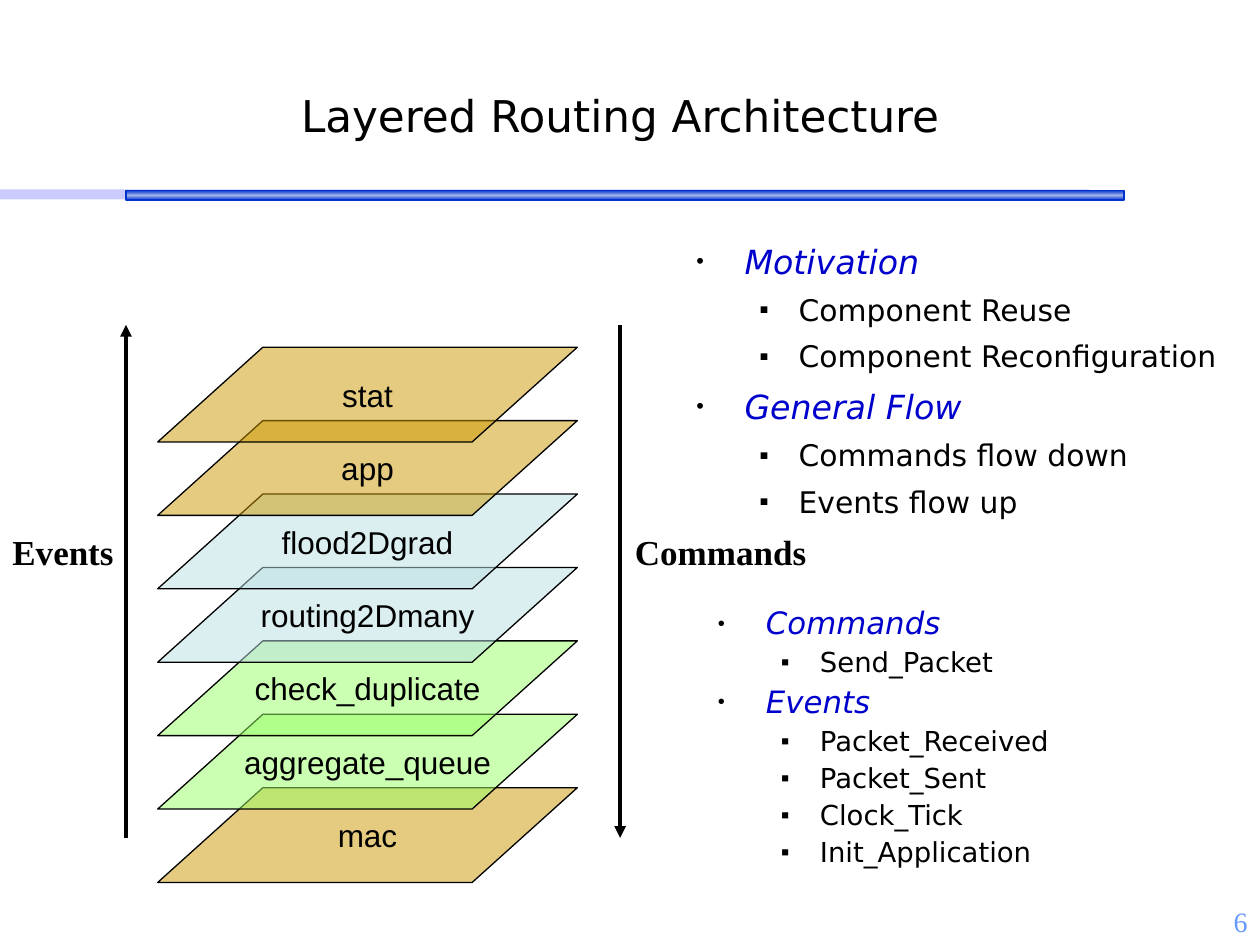
import copy

import lxml.etree
import pptx
import pptx.dml.color
import pptx.enum.shapes
import pptx.enum.text
import pptx.oxml.ns
import pptx.util

Cm, Pt = pptx.util.Cm, pptx.util.Pt
qn = pptx.oxml.ns.qn
SHAPE = pptx.enum.shapes.MSO_SHAPE
ALIGN = pptx.enum.text.PP_ALIGN
ANCHOR = pptx.enum.text.MSO_ANCHOR
FIT = pptx.enum.text.MSO_AUTO_SIZE.SHAPE_TO_FIT_TEXT


def rgb(value):
    return pptx.dml.color.RGBColor.from_string(value)


def sub(parent, tag, **attrs):
    return lxml.etree.SubElement(parent, qn(tag), attrs)


class Deck:
    BODY, SERIF, LABEL = "DejaVu Sans", "Times New Roman", "Arial"
    BLACK, ACCENT = "000000", "0000CC"
    # level: (left margin cm, hanging cm, bullet, bullet size, space before)
    LEVELS = [(0.97, 0.97, "•", "65000", 4.8), (2.06, 0.79, "▪", "90000", 4.2)]

    def __init__(self):
        self.prs = pptx.Presentation()
        self.prs.slide_width, self.prs.slide_height = Cm(25.4), Cm(19.05)
        self.s = self.prs.slides.add_slide(self.prs.slide_layouts[6])

    def font(self, p, size, name, color=BLACK, bold=False, italic=False):
        for r in p.runs:
            f = r.font
            f.size, f.name, f.bold, f.italic = Pt(size), name, bold, italic
            f.color.rgb = rgb(color)

    def shape(self, kind, box, fill, line=None, width=0.75, alpha=None):
        sp = self.s.shapes.add_shape(kind, *map(Cm, box))
        sp.shadow.inherit = False
        sp.fill.solid()
        sp.fill.fore_color.rgb = rgb(fill)
        if alpha:
            clr = sp._element.spPr.find(qn("a:solidFill"))[0]
            sub(clr, "a:alpha", val=str(alpha * 1000))
        if line:
            sp.line.color.rgb = rgb(line)
            sp.line.width = Pt(width)
        else:
            sp.line.fill.background()
        return sp

    def gradient_bar(self, box, edge, middle):
        sp = self.shape(SHAPE.RECTANGLE, box, edge, edge, 1)
        sp.fill.gradient()
        sp.fill.gradient_angle = 90
        stops = sp._element.spPr.find(qn("a:gradFill")).find(qn("a:gsLst"))
        stops.insert(1, copy.deepcopy(stops[0]))
        for stop, pos, color in zip(sp.fill.gradient_stops, (0, 0.5, 1), (edge, middle, edge)):
            stop.position = pos
            stop.color.rgb = rgb(color)

    def layer(self, box, text, fill):
        sp = self.shape(SHAPE.PARALLELOGRAM, box, fill, self.BLACK, alpha=50)
        sp.adjustments[0] = 1.11
        tf = sp.text_frame
        tf.text = text
        tf.word_wrap = False
        tf.vertical_anchor = ANCHOR.MIDDLE
        tf.paragraphs[0].alignment = ALIGN.CENTER
        self.font(tf.paragraphs[0], 18, self.LABEL)

    def text(self, box, text, size, name, align=ALIGN.LEFT, wrap=True,
             anchor=ANCHOR.TOP, **style):
        tf = self.s.shapes.add_textbox(*map(Cm, box)).text_frame
        tf.text = text
        tf.word_wrap = wrap
        tf.auto_size = FIT
        tf.vertical_anchor = anchor
        tf.paragraphs[0].alignment = align
        self.font(tf.paragraphs[0], size, name, **style)

    def bullets(self, box, items, sizes, spacing):
        tf = self.s.shapes.add_textbox(*map(Cm, box)).text_frame
        tf.word_wrap = True
        tf.text = "\n".join(text for _, text in items)
        for i, (p, (level, _)) in enumerate(zip(tf.paragraphs, items)):
            margin, hang, char, scale, before = self.LEVELS[level]
            pPr = p._p.get_or_add_pPr()
            pPr.set("marL", str(Cm(margin)))
            pPr.set("indent", str(-Cm(hang)))
            sub(sub(pPr, "a:buClr"), "a:srgbClr", val=self.BLACK)
            sub(pPr, "a:buSzPct", val=scale)
            sub(pPr, "a:buFont", typeface=self.LABEL)
            sub(pPr, "a:buChar", char=char)
            p.level = level
            p.line_spacing = spacing
            p.space_before = Pt(before if i else 0)
            self.font(p, sizes[level], self.BODY,
                      self.BLACK if level else self.ACCENT, italic=not level)

    def arrow(self, x, y1, y2):
        c = self.s.shapes.add_connector(
            pptx.enum.shapes.MSO_CONNECTOR.STRAIGHT, Cm(x), Cm(y1), Cm(x), Cm(y2))
        c.line.color.rgb = rgb(self.BLACK)
        c.line.width = Pt(2.25)
        sub(c.line._get_or_add_ln(), "a:tailEnd", type="triangle")
        sub(c._element.spPr, "a:effectLst")


def main():
    d = Deck()

    # Title, rule and slide number
    d.shape(SHAPE.RECTANGLE, (0, 3.82, 21.95, 0.2), "9999FF", alpha=50)
    d.text((24.13, 18.11, 1.27, 0.94), "6", 16, d.SERIF, ALIGN.RIGHT, color="6699FF")
    d.gradient_bar((2.54, 3.84, 20.12, 0.2), "0033CC", "A0B3EC")
    d.text((1.07, 1.65, 22.86, 1.32), "Layered Routing Architecture", 25, d.BODY,
           ALIGN.CENTER, anchor=ANCHOR.BOTTOM)

    # Motivation and flow
    d.bullets((13.79, 4.65, 11.61, 6.63), [
        (0, "Motivation"), (1, "Component Reuse"), (1, "Component Reconfiguration"),
        (0, "General Flow"), (1, "Commands flow down"), (1, "Events flow up"),
    ], (19, 17), 1.1)

    # Layer stack, drawn from the bottom up
    gold, green, blue = "CC9900", "99FF66", "BBE0E3"
    layers = [("mac", gold), ("aggregate_queue", green), ("check_duplicate", green),
              ("routing2Dmany", blue), ("flood2Dgrad", blue), ("app", gold), ("stat", gold)]
    for i, (name, color) in enumerate(layers):
        d.layer((3.18, 15.88 - 1.48 * i, 8.46, 1.91), name, color)

    # Flow arrows and their labels
    top, bottom = 6.55, 16.89
    d.arrow(2.54, bottom, top)
    d.arrow(12.5, top, bottom)
    for x, w, label in [(0, 2.6, "Events"), (12.55, 3.96, "Commands")]:
        d.text((x, 10.57, w, 1.12), label, 20, d.SERIF, wrap=False, bold=True)

    # Commands and events
    d.bullets((14.22, 12.14, 10.19, 5.82), [
        (0, "Commands"), (1, "Send_Packet"), (0, "Events"), (1, "Packet_Received"),
        (1, "Packet_Sent"), (1, "Clock_Tick"), (1, "Init_Application"),
    ], (17.6, 15.7), 0.9)

    d.prs.save("out.pptx")


if __name__ == "__main__":
    main()
